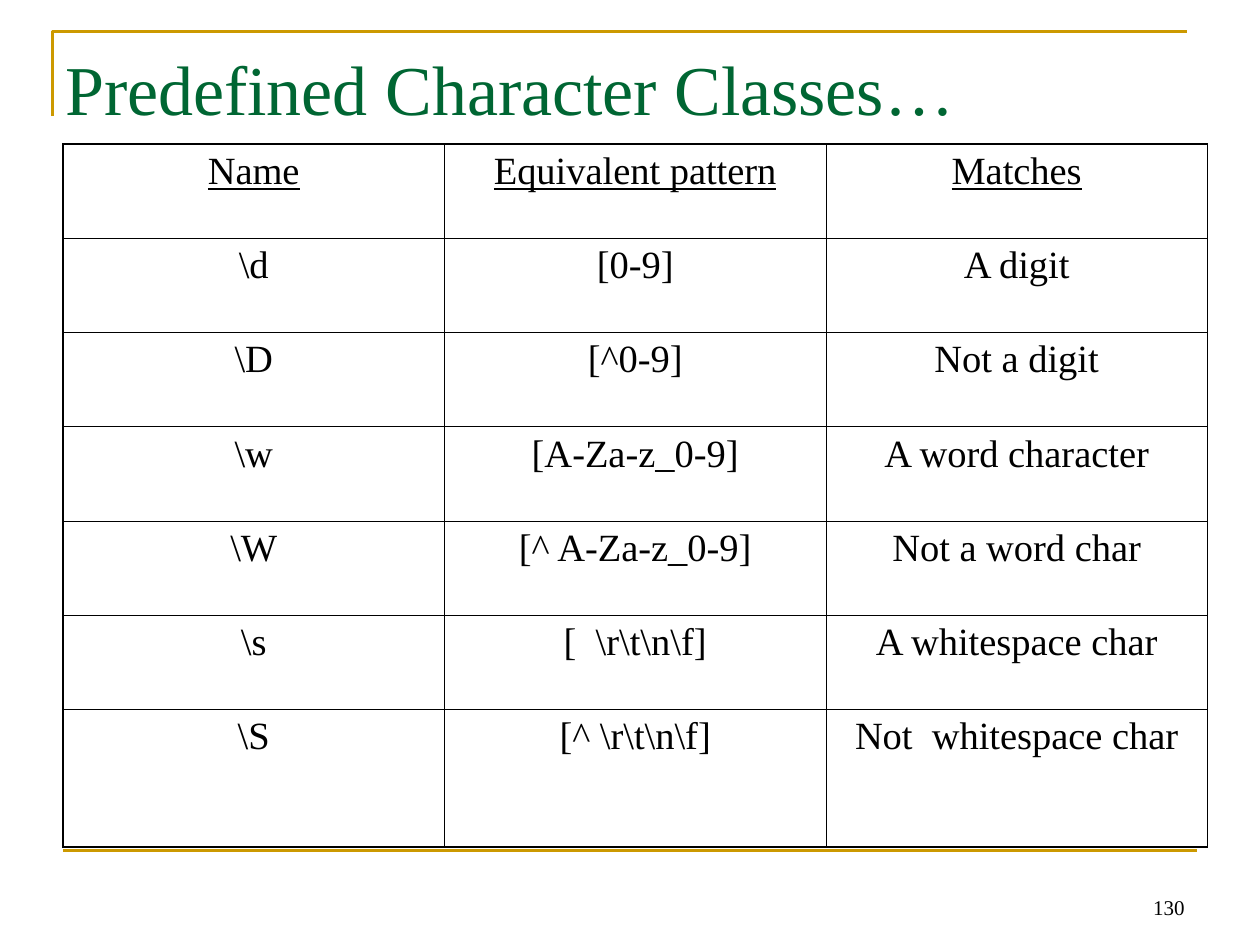
from lxml import etree
from pptx import Presentation
from pptx import util as u
from pptx.dml.color import RGBColor
from pptx.enum import shapes, text
from pptx.oxml.ns import qn

TITLE = "Predefined Character Classes…"
PAGE_NUMBER = "130"
HEADER = ("Name", "Equivalent pattern", "Matches")
CLASSES = [
    (r"\d", "[0-9]", "A digit"),
    (r"\D", "[^0-9]", "Not a digit"),
    (r"\w", "[A-Za-z_0-9]", "A word character"),
    (r"\W", "[^ A-Za-z_0-9]", "Not a word char"),
    (r"\s", r"[  \r\t\n\f]", "A whitespace char"),
    (r"\S", r"[^ \r\t\n\f]", "Not  whitespace char"),
]

THEME = {
    "font": "Times New Roman",
    "title": "006633", "text": "000000", "rule": "CC9900", "border": "000000",
    "title_size": 40, "table_size": 22, "number_size": 12,
    "rule_width": 1.5, "outer_width": 1.08, "inner_width": 0.45,
}
ROW_HEIGHT, LAST_ROW_HEIGHT, COLUMN_WIDTH = 1.9, 2.77, 7.69


def apply(target, values):
    for name, value in values.items():
        setattr(target, name, value)


def write(frame, content, size, color, alignment, underline=None, **spacing):
    paragraph = frame.paragraphs[0]
    apply(paragraph, {"alignment": alignment, **spacing})
    run = paragraph.add_run()
    run.text = content
    apply(run.font, {"name": THEME["font"], "size": u.Pt(size), "underline": underline})
    run.font.color.rgb = RGBColor.from_string(color)


def style_rule(shape):
    shape.line.color.rgb = RGBColor.from_string(THEME["rule"])
    shape.line.width = u.Pt(THEME["rule_width"])


def add_borders(cell, outer_sides):
    properties = cell._tc.get_or_add_tcPr()
    for position, side in enumerate("LRTB"):
        width = THEME["outer_width" if side in outer_sides else "inner_width"]
        line = etree.Element(qn(f"a:ln{side}"), w=str(int(u.Pt(width))))
        fill = etree.SubElement(line, qn("a:solidFill"))
        etree.SubElement(fill, qn("a:srgbClr"), val=THEME["border"])
        properties.insert(position, line)


def add_rules(slide):
    left, top, right, bottom = u.Cm(1.06), u.Cm(0.64), u.Cm(23.93), u.Cm(2.34)
    builder = slide.shapes.build_freeform(left, bottom)
    builder.add_line_segments([(left, top), (right, top)], close=False)
    corner = builder.convert_to_shape()
    corner.shadow.inherit = False
    corner.fill.background()
    style_rule(corner)

    footer_rule = slide.shapes.add_connector(
        shapes.MSO_CONNECTOR.STRAIGHT, u.Cm(1.27), u.Cm(17.15), u.Cm(24.13), u.Cm(17.15))
    etree.SubElement(footer_rule._element.spPr, qn("a:effectLst"))
    style_rule(footer_rule)


def add_title(slide):
    title = slide.shapes.title
    apply(title, {"left": u.Cm(1.06), "top": u.Cm(0.64),
                  "width": u.Cm(22.86), "height": u.Cm(1.48)})
    apply(title.text_frame, {"vertical_anchor": text.MSO_ANCHOR.TOP, "word_wrap": True,
                             "auto_size": text.MSO_AUTO_SIZE.NONE, "margin_top": u.Cm(0.28)})
    write(title.text_frame, TITLE, THEME["title_size"], THEME["title"], text.PP_ALIGN.LEFT)


def add_class_table(slide):
    rows = [HEADER, *CLASSES]
    heights = [ROW_HEIGHT] * (len(rows) - 1) + [LAST_ROW_HEIGHT]
    table = slide.shapes.add_table(
        len(rows), len(HEADER), u.Cm(1.27), u.Cm(2.9),
        u.Cm(COLUMN_WIDTH * len(HEADER)), u.Cm(sum(heights))).table
    apply(table, {"first_row": False, "horz_banding": False})
    for column in table.columns:
        column.width = u.Cm(COLUMN_WIDTH)
    last_row, last_column = len(rows) - 1, len(HEADER) - 1
    for r, row in enumerate(rows):
        table.rows[r].height = u.Cm(heights[r])
        for c, content in enumerate(row):
            cell = table.cell(r, c)
            cell.fill.background()
            write(cell.text_frame, content, THEME["table_size"], THEME["text"],
                  text.PP_ALIGN.CENTER, underline=r == 0, space_before=u.Pt(5.5))
            edges = {"L": c == 0, "R": c == last_column, "T": r == 0, "B": r == last_row}
            add_borders(cell, [side for side, outer in edges.items() if outer])


def add_page_number(slide):
    box = slide.shapes.add_textbox(u.Cm(18.21), u.Cm(17.35), u.Cm(5.92), u.Cm(1.32))
    apply(box.text_frame, {"word_wrap": True, "vertical_anchor": text.MSO_ANCHOR.BOTTOM})
    write(box.text_frame, PAGE_NUMBER, THEME["number_size"], THEME["text"],
          text.PP_ALIGN.RIGHT)


def main():
    presentation = Presentation()
    apply(presentation, {"slide_width": u.Cm(25.4), "slide_height": u.Cm(19.05)})
    slide = presentation.slides.add_slide(presentation.slide_layouts[5])
    add_rules(slide)
    add_title(slide)
    add_class_table(slide)
    add_page_number(slide)
    presentation.save("out.pptx")


if __name__ == "__main__":
    main()
